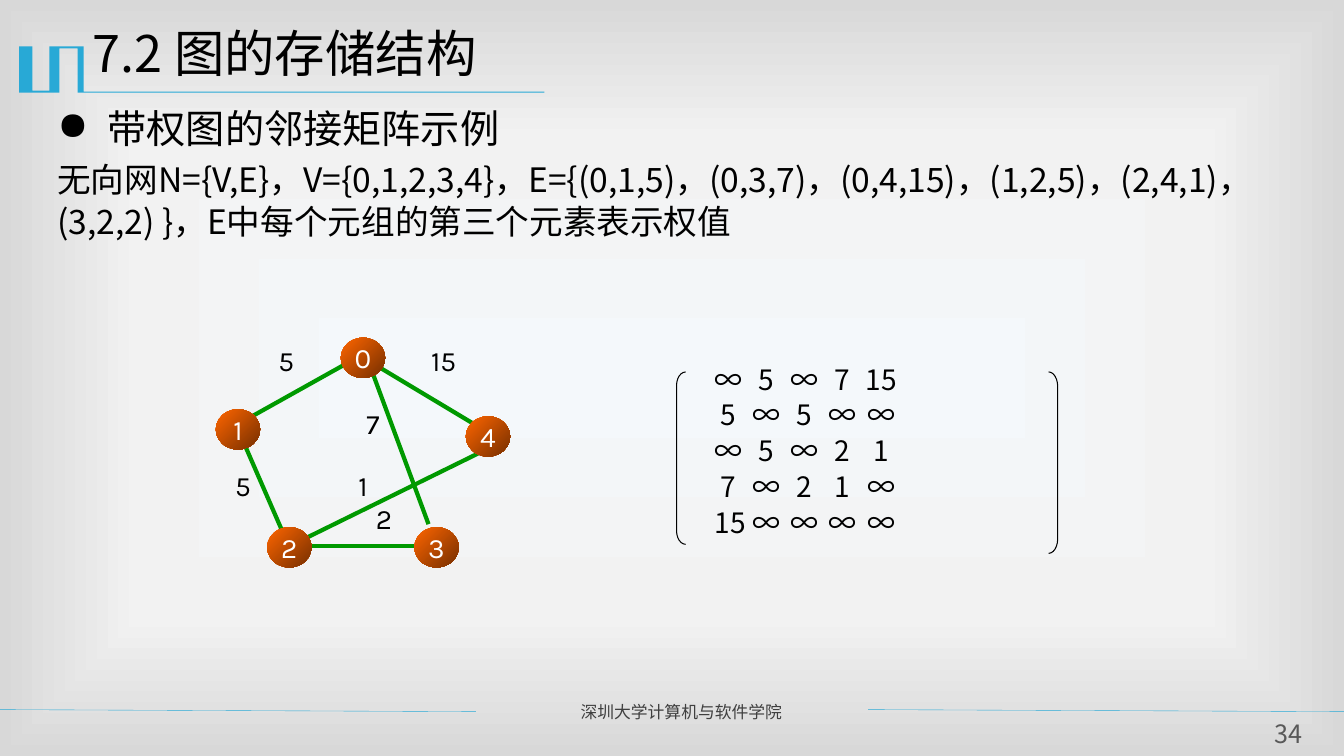
from lxml.etree import SubElement as Sub
from pptx import Presentation
from pptx.dml.color import RGBColor as RGB
from pptx.enum.shapes import MSO_CONNECTOR as Conn, MSO_SHAPE as Kind
from pptx.enum.text import MSO_ANCHOR as Anchor, MSO_AUTO_SIZE as Fit, PP_ALIGN as Align
from pptx.oxml import parse_xml
from pptx.oxml.ns import nsdecls, qn
from pptx.util import Inches, Pt

HUE = dict(ink="000000", blue="28A9D6", edge="009900", hot="FF6600", dark="762F00",
           white="FFFFFF", foot="3F3F3F", page="595959")
SANS, KARLA = "Noto Sans CJK SC", "Karla"

TITLE = "7.2 图的存储结构"
HEAD = "带权图的邻接矩阵示例"
BODY = ("无向网N={V,E}，V={0,1,2,3,4}，E={(0,1,5)，(0,3,7)，(0,4,15)，(1,2,5)，"
        "(2,4,1)，(3,2,2) }，E中每个元组的第三个元素表示权值")
FOOT, PAGE = "深圳大学计算机与软件学院", "34"

GLOW = [(0, "F4F8FB"), (63, "F2F2F2"), (100, "D8D8D8")]
RIBBON = [(0.82, 0.46), (0.83, 0.46), (0.83, 0.91), (5.4, 0.91), (5.4, 0.92),
          (0.77, 0.92), (0.77, 0.48), (0.59, 0.48), (0.59, 0.92), (0.19, 0.92),
          (0.19, 0.46), (0.32, 0.46), (0.32, 0.9), (0.49, 0.9), (0.49, 0.46)]
RULES = [(-0.01, 7.04, 4.72, 7.06), (8.61, 7.04, 13.33, 7.06)]
EDGES = [(4.69, 4.2, 3.74, 3.63), (2.43, 4.42, 2.8, 5.27), (3.52, 3.56, 2.5, 4.13),
         (4.25, 5.2, 3.67, 3.63), (4.11, 5.42, 3.01, 5.42), (4.76, 4.49, 3.01, 5.35)]
NODES = {"1": (2.14, 4.06), "3": (4.11, 5.23), "2": (2.65, 5.23),
         "4": (4.62, 4.13), "0": (3.38, 3.35)}
COSTS = [("5", 2.57, 3.36, 0.54), ("5", 2.14, 4.6, 0.54), ("15", 3.97, 3.36, 0.86),
         ("1", 3.33, 4.6, 0.54), ("7", 3.43, 3.98, 0.54), ("2", 3.54, 4.93, 0.54)]
MATRIX = ["∞ 5 ∞ 7 15", "5 ∞ 5 ∞ ∞", "∞ 5 ∞ 2 1", "7 ∞ 2 1 ∞", "15 ∞ ∞ ∞ ∞"]
BRACKETS = [(Kind.LEFT_BRACKET, 6.71, 1.71, 1.5), (Kind.RIGHT_BRACKET, 10.4, 1.8, 1.58)]
COL, STEP = 0.13, 0.38


def color(key):
    return RGB.from_string(HUE[key])


def style(para, size, face=SANS, key="ink", align=Align.LEFT):
    para.alignment = align
    font = para.font
    font.size, font.name = Pt(size), face
    font.color.rgb = color(key)
    props = para._p.get_or_add_pPr().find(qn("a:defRPr"))
    Sub(props, qn("a:ea")).set("typeface", face)


def box(left, top, width, height):
    frame = slide.shapes.add_textbox(*map(Inches, (left, top, width, height))).text_frame
    frame.word_wrap = True
    return frame


def label(text, place, size, **look):
    frame = box(*place)
    para = frame.paragraphs[0]
    para.text = text
    style(para, size, **look)
    return frame


def clear(frame, side=0, end=0):
    frame.margin_left = frame.margin_right = Inches(side)
    frame.margin_top = frame.margin_bottom = Inches(end)


def line(ends, key, width):
    link = slide.shapes.add_connector(Conn.STRAIGHT, *map(Inches, ends))
    link.line.color.rgb, link.line.width = color(key), Pt(width)
    Sub(link._element.spPr, qn("a:effectLst"))


def shape(kind, left, top, width, height):
    item = slide.shapes.add_shape(kind, *map(Inches, (left, top, width, height)))
    item.shadow.inherit = False
    return item


deck = Presentation()
deck.slide_width, deck.slide_height = Inches(13.33), Inches(7.5)
slide = deck.slides.add_slide(deck.slide_layouts[5])

back = slide.background.fill
back.solid()
stops = "".join(f'<a:gs pos="{pos * 1000}"><a:srgbClr val="{hue}"/></a:gs>' for pos, hue in GLOW)
glow = parse_xml(
    f'<a:gradFill {nsdecls("a")} rotWithShape="1"><a:gsLst>{stops}</a:gsLst><a:path path="rect">'
    '<a:fillToRect l="50000" t="50000" r="50000" b="50000"/></a:path></a:gradFill>')
solid = next(slide._element.iter(qn("a:solidFill")))
solid.getparent().replace(solid, glow)

dots = [tuple(map(Inches, dot)) for dot in RIBBON]
pen = slide.shapes.build_freeform(*dots[0])
pen.add_line_segments(dots[1:], close=True)
ribbon = pen.convert_to_shape()
ribbon.shadow.inherit = False
ribbon.fill.solid()
ribbon.fill.fore_color.rgb = color("blue")
ribbon.line.fill.background()

for ends in RULES:
    line(ends, "blue", 0.25)
label(FOOT, (5.66, 6.91, 2.85, 0.3), 12, key="foot")
clear(label(PAGE, (12.48, 7.13, 0.59, 0.31), 18, key="page", align=Align.CENTER))

title = slide.shapes.title
title.left, title.top, title.width, title.height = map(Inches, (0.82, 0.24, 12, 0.87))
frame = title.text_frame
frame.text = TITLE
frame.auto_size, frame.vertical_anchor = Fit.NONE, Anchor.TOP
frame.paragraphs[0].line_spacing = 0.9
style(frame.paragraphs[0], 36)

frame = box(0.47, 1.04, 12.13, 5.63)
head, body = frame.paragraphs[0], frame.add_paragraph()
head.text, body.text = HEAD, BODY
head.line_spacing, body.line_spacing = 0.9, Pt(30)
body.space_before = Pt(3.5)
props = head._p.get_or_add_pPr()
props.set("marL", str(Inches(0.5)))
props.set("indent", str(Inches(-0.5)))
Sub(props, qn("a:buChar")).set("char", "●")
style(head, 28)
style(body, 24)

for ends in EDGES:
    line(ends, "edge", 3)
for name, (left, top) in NODES.items():
    node = shape(Kind.OVAL, left, top, 0.44, 0.4)
    node.line.fill.background()
    node.fill.gradient()
    node.fill.gradient_angle = 315
    for stop, key in zip(node.fill.gradient_stops, ("hot", "dark")):
        stop.color.rgb = color(key)
    frame = node.text_frame
    frame.text, frame.word_wrap = name, False
    frame.vertical_anchor = Anchor.MIDDLE
    clear(frame, end=0.05)
    style(frame.paragraphs[0], 20, KARLA, "white", Align.CENTER)
for text, left, top, width in COSTS:
    label(text, (left, top, width, 0.44), 20, face=KARLA, align=Align.CENTER)

for kind, left, height, bend in BRACKETS:
    side = shape(kind, left, 3.69, 0.09, height)
    side.adjustments[0] = bend
    side.fill.background()
    side.line.color.rgb, side.line.width = color("ink"), Pt(0.75)

frame = box(6.99, 3.52, 3.32, 1.88)
for num, row in enumerate(MATRIX):
    para = frame.add_paragraph() if num else frame.paragraphs[0]
    cells = row.split()
    para.text = "".join("\t" + cell for cell in cells)
    para.line_spacing = Pt(25.6)
    tabs = Sub(para._p.get_or_add_pPr(), qn("a:tabLst"))
    for col in range(len(cells)):
        Sub(tabs, qn("a:tab"), pos=str(Inches(COL + STEP * col)), algn="ctr")
    style(para, 20)

deck.save("out.pptx")
